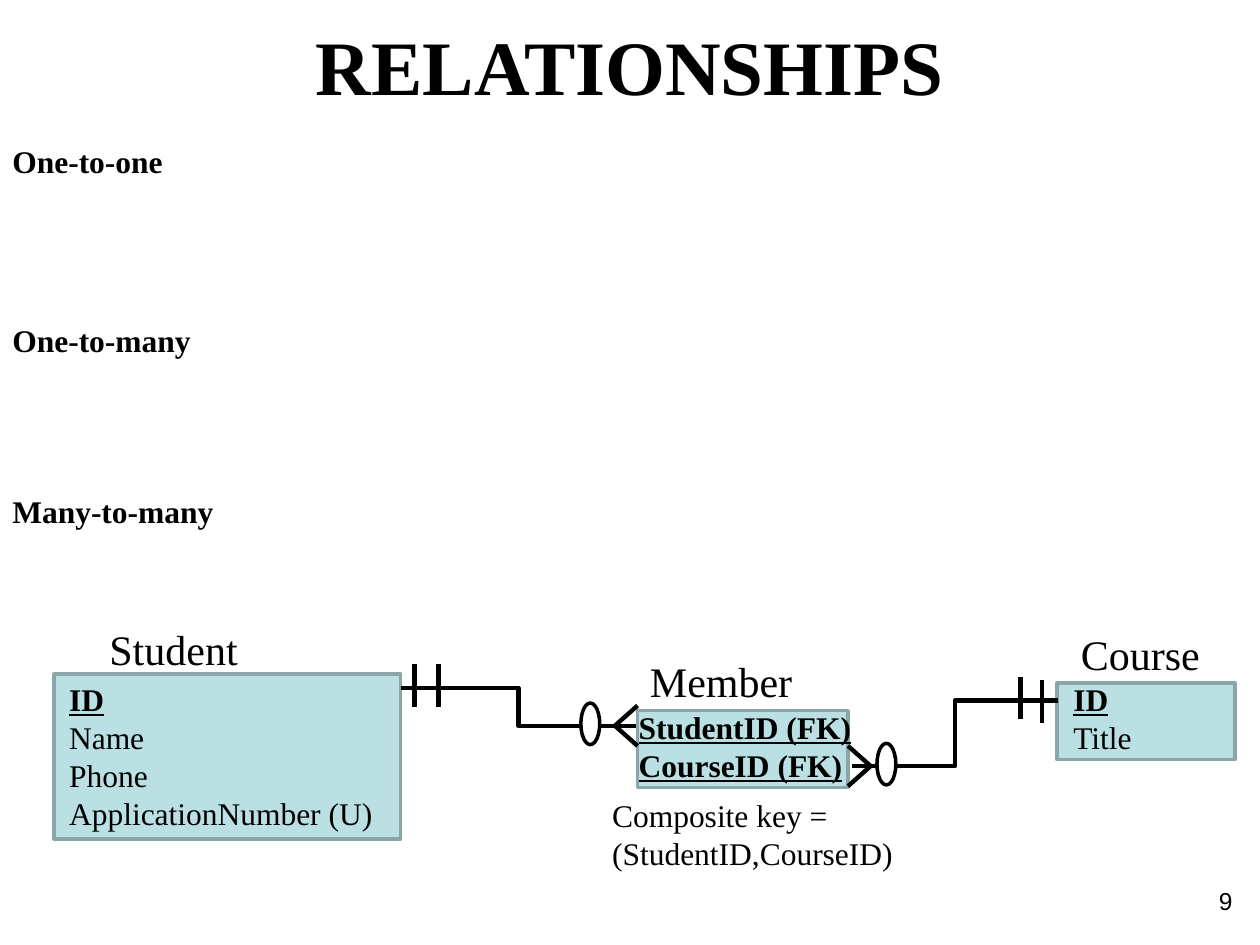
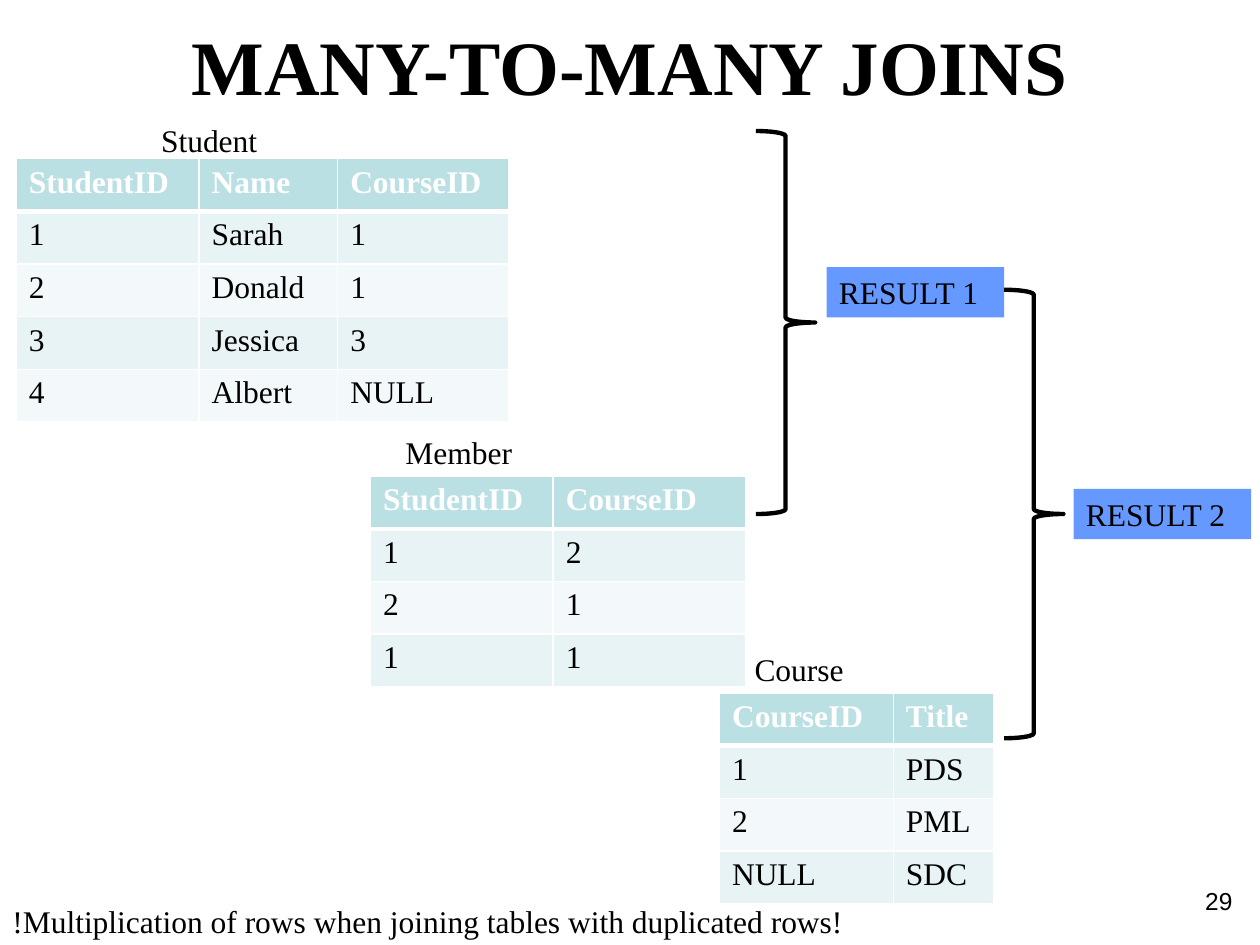
from lxml.etree import SubElement as Sub
from pptx import Presentation
from pptx.dml.color import RGBColor
from pptx.enum.shapes import MSO_CONNECTOR as Link, MSO_SHAPE as Shape
from pptx.enum.text import MSO_ANCHOR as Anchor, MSO_AUTO_SIZE as Fit, PP_ALIGN as Align
from pptx.oxml.ns import qn
from pptx.util import Inches, Pt

INK, PAPER, TEAL, EDGE, BLUE = "000000", "FFFFFF", "BBE0E3", "8AA6A8", "6699FF"
BANDS = ("E7F3F4", "F3F9FA")
SERIF, SANS = "Times New Roman", "Arial"
ROW = 0.418


def tint(fmt, color):
    fmt.rgb = RGBColor.from_string(color)


def paint(item, color):
    item.fill.solid()
    tint(item.fill.fore_color, color)


def style(par, size=18, bold=False, under=False, color=INK, face=SERIF):
    font = par.font
    font.name, font.size = face, Pt(size)
    font.bold, font.underline = bold, under
    tint(font.color, color)


def write(frame, lines, keys=0, align=Align.LEFT, **look):
    frame.word_wrap = True
    for i, line in enumerate(lines):
        par = frame.paragraphs[0] if i == 0 else frame.add_paragraph()
        par.text, par.alignment = line, align
        style(par, **{**look, **({"bold": True, "under": True} if i < keys else {})})


def label(slide, box, *lines, **look):
    text = slide.shapes.add_textbox(*map(Inches, box))
    write(text.text_frame, lines, **look)


def form(slide, kind, box, fill=None, edge=None, width=2):
    shape = slide.shapes.add_shape(kind, *map(Inches, box))
    shape.shadow.inherit = False
    if fill:
        paint(shape, fill)
    else:
        shape.fill.background()
    if edge:
        tint(shape.line.color, edge)
        shape.line.width = Pt(width)
    else:
        shape.line.fill.background()
    return shape


def stroke(slide, start, end, kind=Link.STRAIGHT):
    line = slide.shapes.add_connector(kind, *map(Inches, (*start, *end)))
    tint(line.line.color, INK)
    line.line.width = Pt(2.5)
    Sub(line._element.spPr, qn("a:effectLst"))


def page(deck, title, number):
    slide = deck.slides.add_slide(deck.slide_layouts[5])
    head = slide.shapes.title
    head.left, head.top, head.width, head.height = map(Inches, (0, 0.07, 10, 0.84))
    frame = head.text_frame
    write(frame, [title], align=Align.CENTER, size=44, bold=True)
    frame.auto_size, frame.vertical_anchor = Fit.NONE, Anchor.BOTTOM
    frame.margin_bottom = Inches(0.03)
    label(slide, (7.55, 6.98, 2.33, 0.52), number, align=Align.RIGHT, size=14, face=SANS)
    return slide


def entity(slide, box, name, at, shift, fields, keys=1):
    left, top, wide, high = box
    form(slide, Shape.RECTANGLE, box, TEAL, EDGE)
    label(slide, (left + shift[0], top + shift[1], wide + 0.4, high), *fields, keys=keys)
    label(slide, (left + at[0], top + at[1], 1.41, 0.5), name, size=24)


def relate(slide, one, many, bars, tip, side, ring):
    stroke(slide, one, many, Link.ELBOW)
    for x, y in bars:
        stroke(slide, (x, y + 0.17), (x, y - 0.17))
    for rise in (-0.16, 0.16):
        stroke(slide, tip, (tip[0] + side * 0.18, tip[1] + rise))
    form(slide, Shape.OVAL, (ring, tip[1] - 0.18, 0.15, 0.33), PAPER, INK)


def model(deck):
    slide = page(deck, "RELATIONSHIPS", "9")
    kinds = {"One-to-one": 1.08, "One-to-many": 2.5, "Many-to-many": 3.86}
    for kind, top in kinds.items():
        label(slide, (0, top, 10, 0.4), kind, bold=True)
    entity(slide, (0.43, 5.35, 2.75, 1.31), "Student", (0.34, -0.45), (0.02, 0),
           ("ID", "Name", "Phone", "ApplicationNumber (U)"))
    entity(slide, (8.39, 5.42, 1.41, 0.61), "Course", (0.09, -0.48), (0.03, -0.07),
           ("ID", "Title"))
    entity(slide, (5.06, 5.64, 1.67, 0.61), "Member", (0, -0.49), (-0.09, -0.07),
           ("StudentID (FK)", "CourseID (FK)"), keys=2)
    relate(slide, (3.18, 5.46), (5.05, 5.76), ((3.29, 5.44), (3.48, 5.44)),
           (4.88, 5.76), 1, 4.61)
    relate(slide, (8.4, 5.56), (6.76, 6.08), ((8.1, 5.54), (8.27, 5.57)),
           (6.91, 6.08), -1, 6.96)
    label(slide, (4.76, 6.27, 2.74, 0.71), "Composite key = (StudentID,CourseID)")


def border(cell, row):
    props = cell._tc.get_or_add_tcPr()
    thick = {"lnT": row == 1, "lnB": row == 0}
    for side in ("lnL", "lnR", "lnT", "lnB"):
        line = Sub(props, qn(f"a:{side}"), w=str(Pt(3 if thick.get(side) else 1)))
        fill = Sub(line, qn("a:solidFill"))
        Sub(fill, qn("a:srgbClr"), val=PAPER)


def grid(slide, name, at, shift, cols, rows):
    left, top = at
    label(slide, (left + shift[0], top + shift[1], 1.84, 0.4), name)
    box = (left, top, sum(cols), ROW * len(rows))
    table = slide.shapes.add_table(len(rows), len(cols), *map(Inches, box)).table
    for col, wide in zip(table.columns, cols):
        col.width = Inches(wide)
    for r, row in enumerate(rows):
        for c, value in enumerate(row):
            cell = table.cell(r, c)
            border(cell, r)
            paint(cell, BANDS[(r - 1) % 2] if r else TEAL)
            cell.text = value
            style(cell.text_frame.paragraphs[0], bold=r == 0, color=INK if r else PAPER)


def result(slide, brace, at, name):
    form(slide, Shape.RIGHT_BRACE, brace, edge=INK, width=2.5)
    tag = form(slide, Shape.RECTANGLE, (*at, 1.41, 0.4), BLUE)
    write(tag.text_frame, [name])


def joins(deck):
    slide = page(deck, "MANY-TO-MANY JOINS", "29")
    grid(slide, "Course", (5.71, 5.5), (0.18, -0.39), (1.38, 0.8),
         (("CourseID", "Title"), ("1", "PDS"), ("2", "PML"), ("NULL", "SDC")))
    grid(slide, "Student", (0.13, 1.26), (1.05, -0.35), (1.45, 1.1, 1.36),
         (("StudentID", "Name", "CourseID"), ("1", "Sarah", "1"), ("2", "Donald", "1"),
          ("3", "Jessica", "3"), ("4", "Albert", "NULL")))
    grid(slide, "Member", (2.94, 3.78), (0.18, -0.39), (1.45, 1.53),
         (("StudentID", "CourseID"), ("1", "2"), ("2", "1"), ("1", "1")))
    result(slide, (6, 1.04, 0.47, 3.04), (6.56, 2.12), "RESULT 1")
    result(slide, (7.97, 2.3, 0.47, 3.56), (8.52, 3.88), "RESULT 2")
    label(slide, (0, 7.11, 6.86, 0.4),
          "!Multiplication of rows when joining tables with duplicated rows!")


def main():
    deck = Presentation()
    deck.slide_width, deck.slide_height = Inches(10), Inches(7.5)
    model(deck)
    joins(deck)
    deck.save("out.pptx")


if __name__ == "__main__":
    main()
